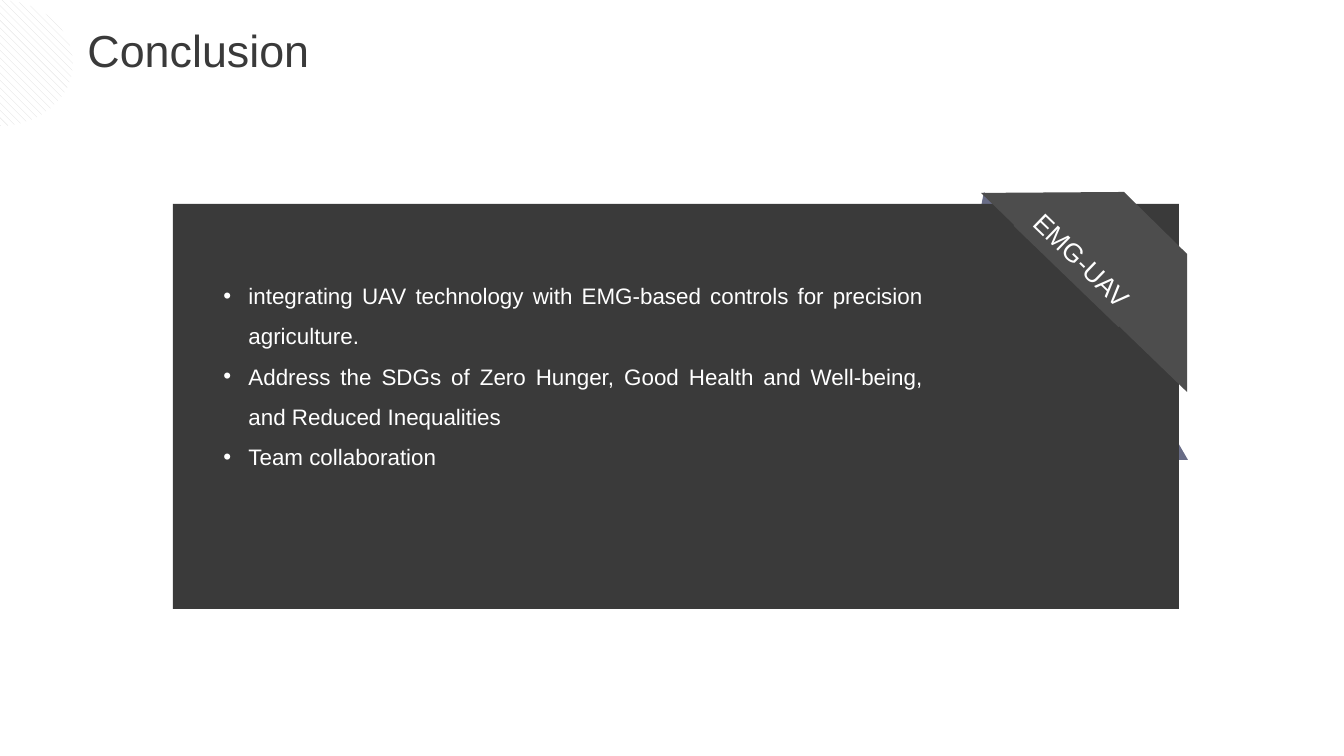
import pptx
import pptx.util
import pptx.dml.color
import pptx.enum.dml
import pptx.enum.shapes
import pptx.enum.text
import pptx.oxml.ns
import lxml.etree

TITLE = "Conclusion"
POINTS = [
    "integrating UAV technology with EMG-based controls for precision agriculture.",
    "Address the SDGs of Zero Hunger, Good Health and Well-being, and Reduced Inequalities",
    "Team collaboration",
]
LABEL = "EMG-UAV"
FONT = "Arial"
DARK, GREY, FOLD, WHITE = "3A3A3A", "4D4D4D", "686C86", "FFFFFF"
STRIPE = "DDDDDD"

SIZE = (1344, 756)
TITLE_BOX = (74, 16, 313, 69)
CIRCLE_BOX = (-74, 0, 147, 126)
CARD_BOX = (173, 204, 1006, 405)
LIST_BOX = (210, 262, 727, 253)
LABEL_BOX = (1009, 237, 146, 46)
LABEL_ANGLE = 44
INDENT = 25
FOLDS = [
    [(1188, 460), (1173, 460), (1173, 434)],
    [(984, 192), (981, 207), (997, 207)],
]
RIBBON = [(981, 193), (1187, 392), (1187, 254), (1124, 192)]

SCALE = 914400 / 134.4
SHAPE = pptx.enum.shapes.MSO_SHAPE
ALIGN = pptx.enum.text.PP_ALIGN
ANCHOR = pptx.enum.text.MSO_ANCHOR


def px(n):
    return pptx.util.Emu(round(n * SCALE))


def rgb(value):
    return pptx.dml.color.RGBColor.from_string(value)


def paint(sp, color):
    sp.shadow.inherit = False
    sp.fill.solid()
    sp.fill.fore_color.rgb = rgb(color)
    sp.line.fill.background()


def add_shape(kind, box, color):
    sp = slide.shapes.add_shape(kind, *map(px, box))
    paint(sp, color)
    return sp


def add_polygon(points, color):
    builder = slide.shapes.build_freeform(*points[0], scale=SCALE)
    builder.add_line_segments(points[1:], close=True)
    paint(builder.convert_to_shape(), color)


def place(sp, box):
    sp.left, sp.top, sp.width, sp.height = map(px, box)
    tf = sp.text_frame
    tf.word_wrap = True
    tf.auto_size = pptx.enum.text.MSO_AUTO_SIZE.NONE
    tf.vertical_anchor = ANCHOR.TOP
    return tf


def write(p, text, size, color, align):
    p.alignment = align
    r = p.add_run()
    r.text = text
    r.font.name = FONT
    r.font.size = pptx.util.Pt(size)
    r.font.color.rgb = rgb(color)


def add_bullet(p):
    pPr = p._p.get_or_add_pPr()
    pPr.set("marL", str(px(INDENT)))
    pPr.set("indent", str(-px(INDENT)))
    bullet = lxml.etree.SubElement(pPr, pptx.oxml.ns.qn("a:buChar"))
    bullet.set("char", "•")


prs = pptx.Presentation()
prs.slide_width, prs.slide_height = map(px, SIZE)
slide = prs.slides.add_slide(prs.slide_layouts[1])
title, body = slide.placeholders

for fold in FOLDS:
    add_polygon(fold, FOLD)
add_shape(SHAPE.RECTANGLE, CARD_BOX, DARK)

slide.shapes._spTree.append(body._element)
tf = place(body, LIST_BOX)
for i, point in enumerate(POINTS):
    p = tf.add_paragraph() if i else tf.paragraphs[0]
    add_bullet(p)
    p.line_spacing = 1.5
    p.space_before = pptx.util.Pt(0)
    write(p, point, 12, WHITE, ALIGN.JUSTIFY)

add_polygon(RIBBON, GREY)
label = add_shape(SHAPE.RECTANGLE, LABEL_BOX, GREY)
label.rotation = LABEL_ANGLE
label.text_frame.word_wrap = False
write(label.text_frame.paragraphs[0], LABEL, 14, WHITE, ALIGN.CENTER)

tf = place(title, TITLE_BOX)
write(tf.paragraphs[0], TITLE, 24, DARK, ALIGN.LEFT)

circle = add_shape(SHAPE.OVAL, CIRCLE_BOX, WHITE)
circle.fill.patterned()
circle.fill.pattern = pptx.enum.dml.MSO_PATTERN.WIDE_DOWNWARD_DIAGONAL
circle.fill.fore_color.rgb = rgb(STRIPE)
circle.fill.back_color.rgb = rgb(WHITE)

prs.save("out.pptx")
